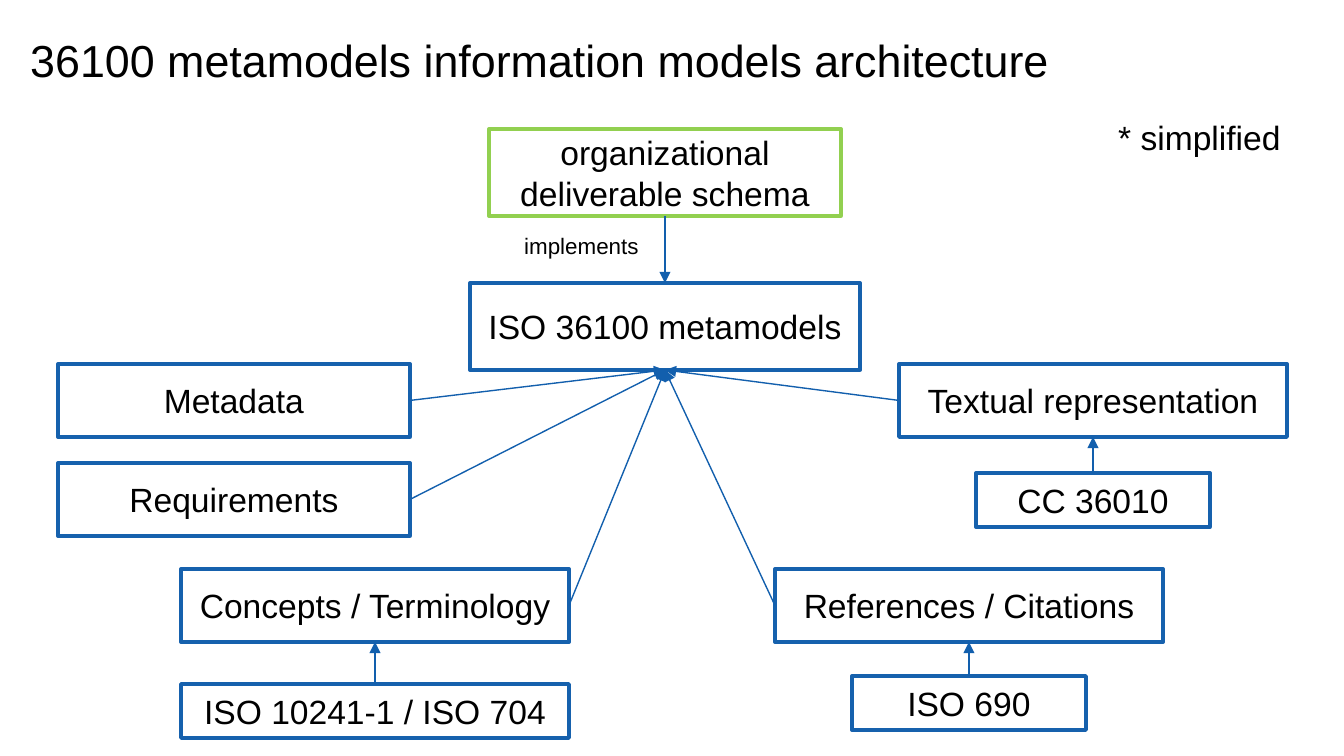
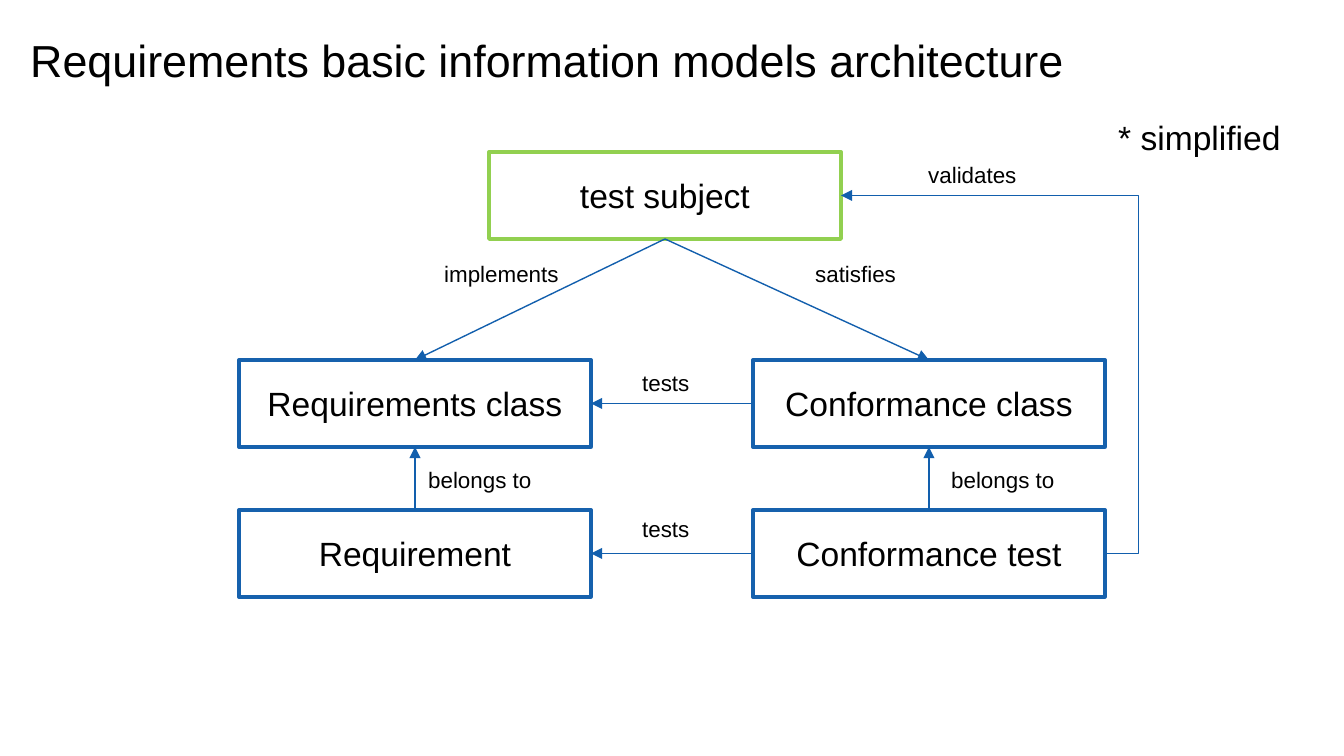
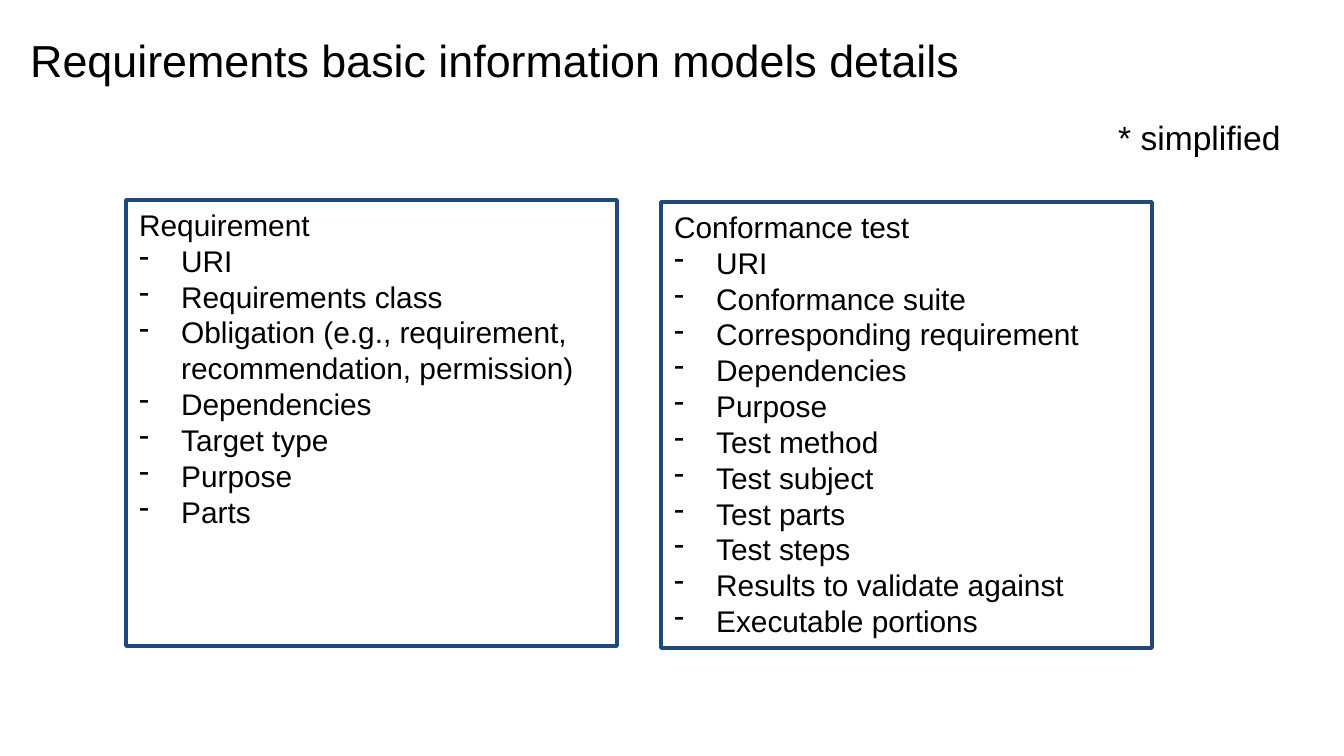
from lxml import etree
from pptx import Presentation
from pptx.dml.color import RGBColor
from pptx.enum.shapes import MSO_CONNECTOR, MSO_SHAPE
from pptx.enum.text import MSO_ANCHOR, MSO_AUTO_SIZE, PP_ALIGN
from pptx.oxml.ns import qn
from pptx.util import Pt

BLACK = RGBColor(0x00, 0x00, 0x00)
BLUE = RGBColor(0x16, 0x61, 0xAD)
GREEN = RGBColor(0x92, 0xD0, 0x50)
NAVY = RGBColor(0x1F, 0x49, 0x7D)
WIRE = RGBColor(0x12, 0x5F, 0xAD)

RECT = MSO_SHAPE.RECTANGLE
LINE, ELBOW = MSO_CONNECTOR.STRAIGHT, MSO_CONNECTOR.ELBOW
TOP, MIDDLE = MSO_ANCHOR.TOP, MSO_ANCHOR.MIDDLE
LEFT, CENTER = PP_ALIGN.LEFT, PP_ALIGN.CENTER
FIT = MSO_AUTO_SIZE.SHAPE_TO_FIT_TEXT
NORTH, WEST, SOUTH, EAST = range(4)

SCALE = 914400 / 134.4
FONT = "Arial"
WIDE = 352
TALL = 87


def px(*sizes):
    return [round(size * SCALE) for size in sizes]


class Deck:
    def __init__(self):
        self.prs = Presentation()
        self.prs.slide_width, self.prs.slide_height = px(1344, 756)
        self.slide = None

    def page(self, title):
        self.slide = self.prs.slides.add_slide(self.prs.slide_layouts[6])
        self.text(title, 17, 26, 1267, 95, 24).word_wrap = True
        self.label("* simplified", 1105, 110, 194, 54, 18)

    def style(self, par, size, align=LEFT):
        par.alignment = align
        font = par.font
        font.name, font.size = FONT, Pt(size)
        font.color.rgb = BLACK

    def text(self, words, x, y, w, h, size):
        frame = self.slide.shapes.add_textbox(*px(x, y, w, h)).text_frame
        frame.text = words
        self.style(frame.paragraphs[0], size)
        return frame

    def label(self, words, x, y, w, h=40, size=12):
        frame = self.text(words, x, y, w, h, size)
        frame.word_wrap = False
        frame.auto_size = FIT

    def frame(self, x, y, w, h, color):
        shape = self.slide.shapes.add_shape(RECT, *px(x, y, w, h))
        shape.shadow.inherit = False
        shape.fill.background()
        shape.line.color.rgb = color
        shape.line.width = Pt(2)
        shape.text_frame.word_wrap = True
        return shape

    def box(self, words, x, y, w=WIDE, h=TALL, color=BLUE):
        shape = self.frame(x, y, w, h, color)
        frame = shape.text_frame
        frame.vertical_anchor = MIDDLE
        frame.text = words
        self.style(frame.paragraphs[0], 18, CENTER)
        return shape

    def card(self, head, items, x, y):
        frame = self.frame(x, y, 491, 446, NAVY).text_frame
        frame.vertical_anchor = TOP
        frame.text = "\n".join([head, *items])
        first, *rest = frame.paragraphs
        self.style(first, 16)
        dent = px(42)[0]
        for par in rest:
            props = par._p.get_or_add_pPr()
            props.set("marL", str(dent))
            props.set("indent", str(-dent))
            etree.SubElement(props, qn("a:buChar")).set("char", "-")
            self.style(par, 16)

    def link(self, start, out, end, into, kind=LINE, bend=None):
        wire = self.slide.shapes.add_connector(kind, 0, 0, 0, 0)
        wire.begin_connect(start, out)
        wire.end_connect(end, into)
        wire.line.color.rgb = WIRE
        wire.line.width = Pt(0.75)
        tip = etree.SubElement(wire.line._get_or_add_ln(), qn("a:tailEnd"))
        tip.set("type", "triangle")
        props = wire._element.spPr
        etree.SubElement(props, qn("a:effectLst"))
        if bend is not None:
            guide = etree.SubElement(props.find(".//" + qn("a:avLst")), qn("a:gd"))
            guide.set("name", "adj1")
            guide.set("fmla", f"val {bend}")


def models(deck):
    deck.page("36100 metamodels information models architecture")
    schema = deck.box("organizational deliverable schema", 489, 129, color=GREEN)
    core = deck.box("ISO 36100 metamodels", 470, 283, 390)
    deck.link(schema, SOUTH, core, NORTH)
    deck.label("implements", 511, 226, 144)

    parts = {}
    for name, x, y, w, side in (
        ("Metadata", 58, 364, WIDE, EAST),
        ("Requirements", 58, 463, WIDE, EAST),
        ("Concepts / Terminology", 181, 569, 388, EAST),
        ("References / Citations", 775, 569, 388, WEST),
        ("Textual representation", 899, 364, 388, WEST),
    ):
        parts[name] = deck.box(name, x, y, w, 73)
        deck.link(parts[name], side, core, SOUTH)

    for name, x, y, w, part in (
        ("ISO 10241-1 / ISO 704", 181, 684, 388, "Concepts / Terminology"),
        ("ISO 690", 852, 676, 234, "References / Citations"),
        ("CC 36010", 976, 473, 234, "Textual representation"),
    ):
        base = deck.box(name, x, y, w, 54)
        deck.link(base, NORTH, parts[part], SOUTH)


def tests(deck):
    deck.page("Requirements basic information models architecture")
    subject = deck.box("test subject", 489, 152, color=GREEN)
    rows = []
    for y, names in (
        (360, ("Requirements class", "Conformance class")),
        (510, ("Requirement", "Conformance test")),
    ):
        left, right = [deck.box(name, x, y) for name, x in zip(names, (239, 753))]
        deck.link(right, WEST, left, EAST)
        rows.append((left, right))
    for group, item in zip(*rows):
        deck.link(subject, SOUTH, group, NORTH)
        deck.link(item, NORTH, group, SOUTH)
    deck.link(rows[1][1], EAST, subject, EAST, ELBOW, -12700)

    for words, x, y, w in (
        ("implements", 431, 254, 144),
        ("satisfies", 802, 254, 109),
        ("validates", 915, 155, 117),
        ("tests", 629, 363, 77),
        ("tests", 629, 509, 77),
        ("belongs to", 415, 460, 134),
        ("belongs to", 938, 460, 134),
    ):
        deck.label(words, x, y, w)


def details(deck):
    deck.page("Requirements basic information models details")
    deck.card("Requirement", (
        "URI",
        "Requirements class",
        "Obligation (e.g., requirement, recommendation, permission)",
        "Dependencies",
        "Target type",
        "Purpose",
        "Parts",
    ), 126, 200)
    deck.card("Conformance test", (
        "URI",
        "Conformance suite",
        "Corresponding requirement",
        "Dependencies",
        "Purpose",
        "Test method",
        "Test subject",
        "Test parts",
        "Test steps",
        "Results to validate against",
        "Executable portions",
    ), 661, 202)


def main():
    deck = Deck()
    models(deck)
    tests(deck)
    details(deck)
    deck.prs.save("out.pptx")


if __name__ == "__main__":
    main()
